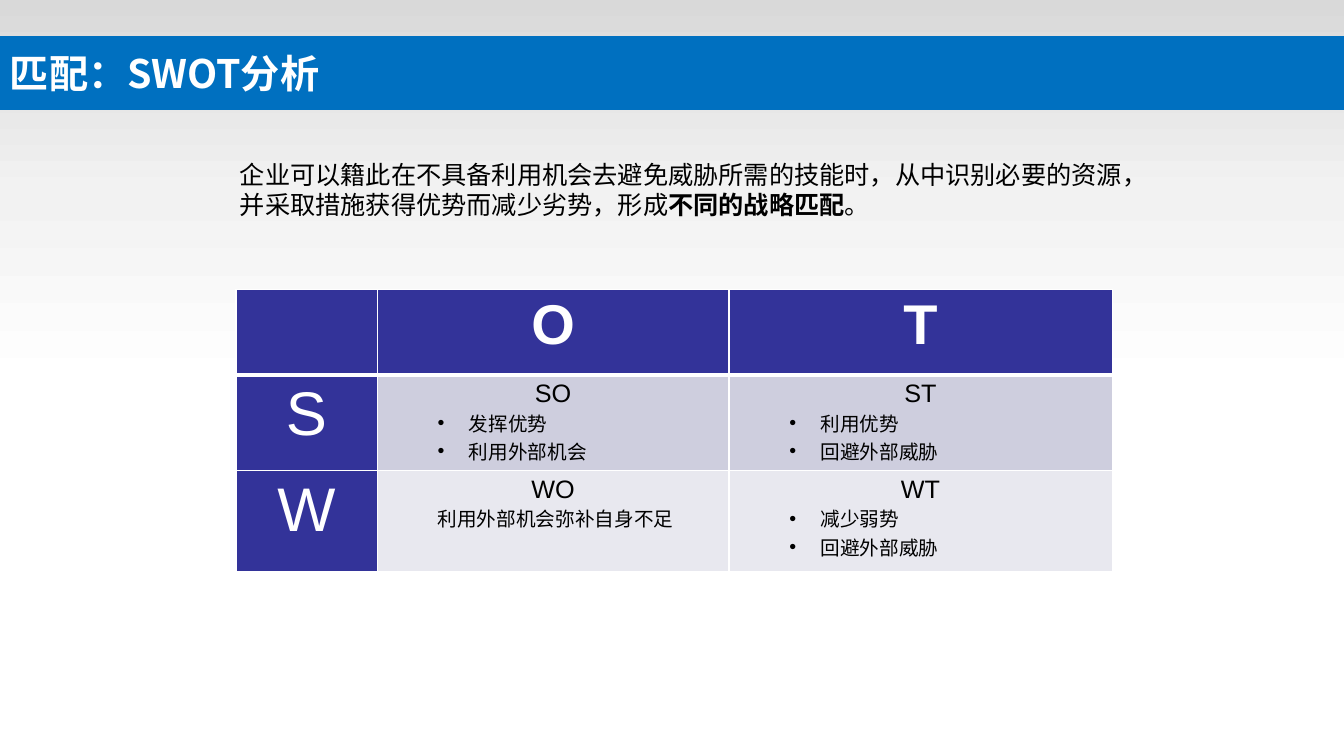
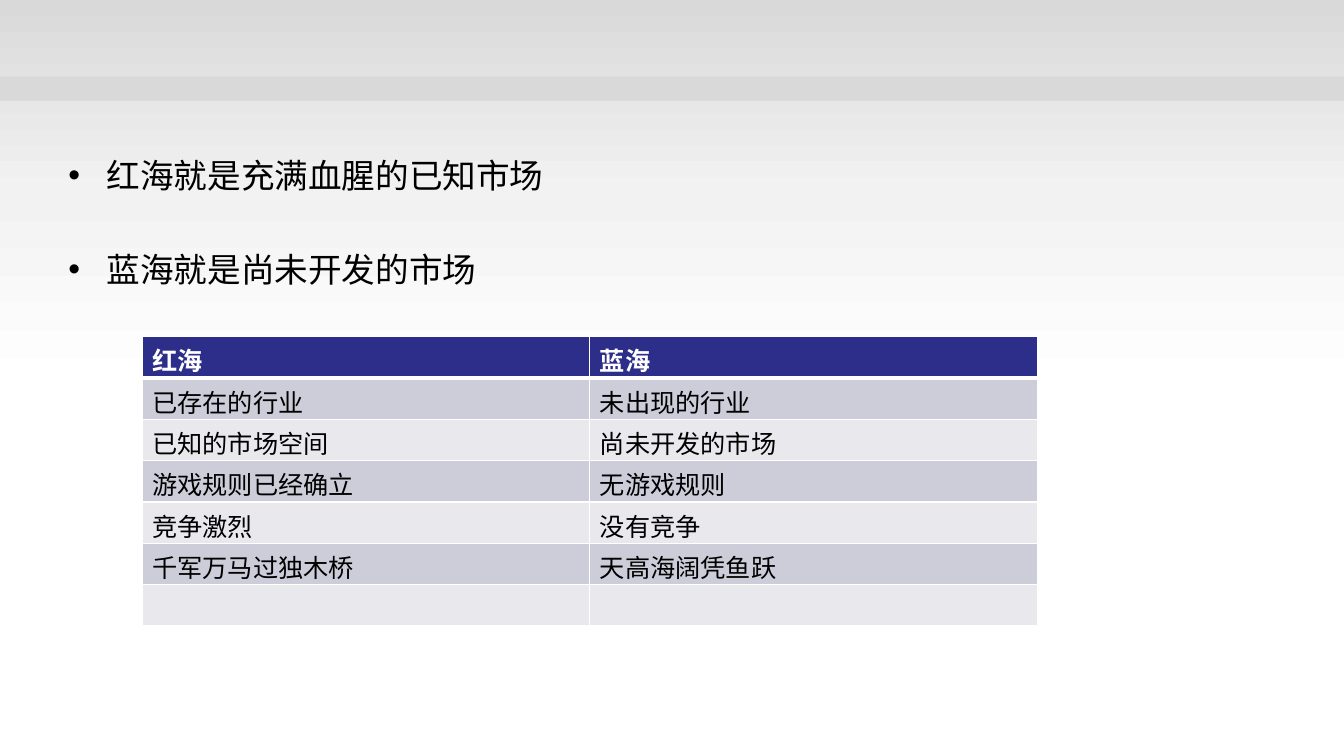
from lxml import etree
from pptx import Presentation
from pptx.dml.color import RGBColor
from pptx.enum.shapes import MSO_SHAPE
from pptx.enum.text import MSO_ANCHOR, PP_ALIGN
from pptx.oxml import parse_xml
from pptx.oxml.ns import nsdecls, qn
from pptx.util import Inches, Pt

RECT = MSO_SHAPE.RECTANGLE
MIDDLE = MSO_ANCHOR.MIDDLE
LEFT, CENTER = PP_ALIGN.LEFT, PP_ALIGN.CENTER
WIDE, HIGH = 13.33, 7.5
SANS, HAN = "Arial", "Noto Sans CJK SC"
HEX = {
    "white": "FFFFFF", "black": "000000", "gray": "D9D9D9", "pale": "F2F2F2",
    "title": "0070C0", "navy": "333399", "head": "2D2D8A",
    "swot_odd": "CECEDE", "swot_even": "E8E8EF",
    "sea_odd": "CDCDDA", "sea_even": "E8E8ED",
}
FADE = [(0, "gray"), (50, "pale"), (100, "white")]
TITLE = {"size": 28, "bold": True, "color": "white", "name": HAN}
HEAD = {"size": 18, "bold": True, "color": "white"}
PLAIN = {"size": 18, "bold": False, "color": "black"}
POINT = {**PLAIN, "size": 14}
AXIS = {**HEAD, "size": 40}
SIDE = {**HEAD, "size": 44, "bold": False}
BODY = {**PLAIN, "size": 24, "name": HAN}
LEADING = 1.2


def rgb(key):
    return RGBColor.from_string(HEX[key])


def inches(*box):
    return [Inches(n) for n in box]


def add_run(para, text, style):
    run = para.add_run()
    run.text = text
    for name, value in {"name": SANS, **style}.items():
        if name == "color":
            run.font.color.rgb = rgb(value)
        else:
            setattr(run.font, name, Pt(value) if name == "size" else value)
    east = etree.SubElement(run._r.get_or_add_rPr(), qn("a:ea"))
    east.set("typeface", HAN)


def indent(para, left, hang=0.0):
    """Indent a paragraph; a hanging indent also gets a bullet."""
    props = para._p.get_or_add_pPr()
    props.set("marL", str(Inches(left)))
    props.set("indent", str(Inches(-hang)))
    if hang:
        etree.SubElement(props, qn("a:buFont")).set("typeface", SANS)
        etree.SubElement(props, qn("a:buChar")).set("char", "•")


def add_para(frame, first):
    return frame.paragraphs[0] if first else frame.add_paragraph()


def add_band(slide, box, color):
    band = slide.shapes.add_shape(RECT, *inches(*box))
    band.shadow.inherit = False
    band.line.fill.background()
    band.fill.solid()
    band.fill.fore_color.rgb = rgb(color)
    return band


def add_base(deck):
    """Add a slide with the shared gray backdrop."""
    slide = deck.slides.add_slide(deck.slide_layouts[6])
    fade = add_band(slide, (0, 0, WIDE, 3.83), "gray")
    stops = "".join(
        f'<a:gs pos="{at * 1000}"><a:srgbClr val="{HEX[key]}"/></a:gs>'
        for at, key in FADE)
    props = fade._element.spPr
    props.replace(props.find(qn("a:solidFill")), parse_xml(
        f'<a:gradFill {nsdecls("a")}><a:gsLst>{stops}</a:gsLst>'
        '<a:lin ang="5400000" scaled="0"/></a:gradFill>'))
    add_band(slide, (0, 0.76, WIDE, 0.24), "gray")
    return slide


def add_title(slide, text):
    band = add_band(slide, (0, 0.36, WIDE, 0.73), "title")
    frame = band.text_frame
    frame.vertical_anchor = MIDDLE
    para = frame.paragraphs[0]
    para.alignment = LEFT
    add_run(para, text, TITLE)


def add_text(slide, box, paras, style, hang=0.0, gap=0.0):
    """Write paragraphs, each a list of (text, bold) runs."""
    frame = slide.shapes.add_textbox(*inches(*box)).text_frame
    frame.word_wrap = True
    for n, runs in enumerate(paras):
        para = add_para(frame, n == 0)
        if hang:
            indent(para, hang, hang)
        para.line_spacing = Pt(style["size"] * LEADING)
        if n:
            para.space_before = Pt(gap)
        for text, bold in runs:
            add_run(para, text, {**style, "bold": bold})


def edge_cell(cell, row):
    """Draw white borders, with a thick rule under the head row."""
    props = cell._tc.get_or_add_tcPr()
    widths = {"L": 1, "R": 1, "T": 3 if row == 1 else 1,
              "B": 3 if row == 0 else 1}
    for n, (side, width) in enumerate(widths.items()):
        props.insert(n, parse_xml(
            f'<a:ln{side} {nsdecls("a")} w="{Pt(width)}"><a:solidFill>'
            f'<a:srgbClr val="{HEX["white"]}"/></a:solidFill></a:ln{side}>'))


def add_grid(slide, at, cols, rows, write):
    """Add a table; write(cell, row, col) fills a cell and names its colour."""
    shape = slide.shapes.add_table(
        len(rows), len(cols), *inches(*at, sum(cols), sum(rows)))
    grid = shape.table
    for n, width in enumerate(cols):
        grid.columns[n].width = Inches(width)
    for r, height in enumerate(rows):
        grid.rows[r].height = Inches(height)
        for c in range(len(cols)):
            cell = grid.cell(r, c)
            color = write(cell, r, c)
            cell.fill.solid()
            cell.fill.fore_color.rgb = rgb(color)
            edge_cell(cell, r)


def add_swot(slide, at):
    grid = [
        ["", "O", "T"],
        ["S", ["SO", "发挥优势", "利用外部机会"], ["ST", "利用优势", "回避外部威胁"]],
        ["W", ["WO", "利用外部机会弥补自身不足"], ["WT", "减少弱势", "回避外部威胁"]],
    ]

    def write(cell, row, col):
        item = grid[row][col]
        label, *points = [item] if isinstance(item, str) else item
        edge = row == 0 or col == 0
        style = AXIS if row == 0 else SIDE if col == 0 else PLAIN
        if label:
            para = cell.text_frame.paragraphs[0]
            para.alignment = CENTER
            add_run(para, label, style)
        for text in points:
            para = add_para(cell.text_frame, False)
            if len(points) > 1:
                indent(para, 0.81, 0.31)
            else:
                indent(para, 0.5)
            add_run(para, text, POINT)
        return "navy" if edge else "swot_odd" if row % 2 else "swot_even"

    add_grid(slide, at, [1.4, 3.49, 3.8], [0.85, 0.95, 1], write)


def add_seas(slide, at):
    grid = [
        ("红海", "蓝海"),
        ("已存在的行业", "未出现的行业"),
        ("已知的市场空间", "尚未开发的市场"),
        ("游戏规则已经确立", "无游戏规则"),
        ("竞争激烈", "没有竞争"),
        ("千军万马过独木桥", "天高海阔凭鱼跃"),
        ("", ""),
    ]

    def write(cell, row, col):
        if grid[row][col]:
            add_run(cell.text_frame.paragraphs[0], grid[row][col],
                    PLAIN if row else HEAD)
        return "head" if row == 0 else "sea_odd" if row % 2 else "sea_even"

    add_grid(slide, at, [4.44] * 2, [0.41] * len(grid), write)


def swot_slide(deck):
    slide = add_base(deck)
    add_title(slide, "匹配：SWOT分析")
    add_swot(slide, (2.34, 2.87))
    add_text(slide, (2.28, 1.53, 8.98, 0.71), [[
        ("企业可以籍此在不具备利用机会去避免威胁所需的技能时，从中识别必要的资源，"
         "并采取措施获得优势而减少劣势，形成", False),
        ("不同的战略匹配", True), ("。", False)]], PLAIN)


def seas_slide(deck):
    slide = add_base(deck)
    add_text(slide, (0.58, 1.49, 12.07, 5.2), [
        [("红海就是充满血腥的已知市场", False)],
        [("蓝海就是尚未开发的市场", False)]], BODY, hang=0.38, gap=38.4)
    add_seas(slide, (1.41, 3.34))


def main():
    deck = Presentation()
    deck.slide_width, deck.slide_height = inches(WIDE, HIGH)
    swot_slide(deck)
    seas_slide(deck)
    deck.save("out.pptx")


if __name__ == "__main__":
    main()
